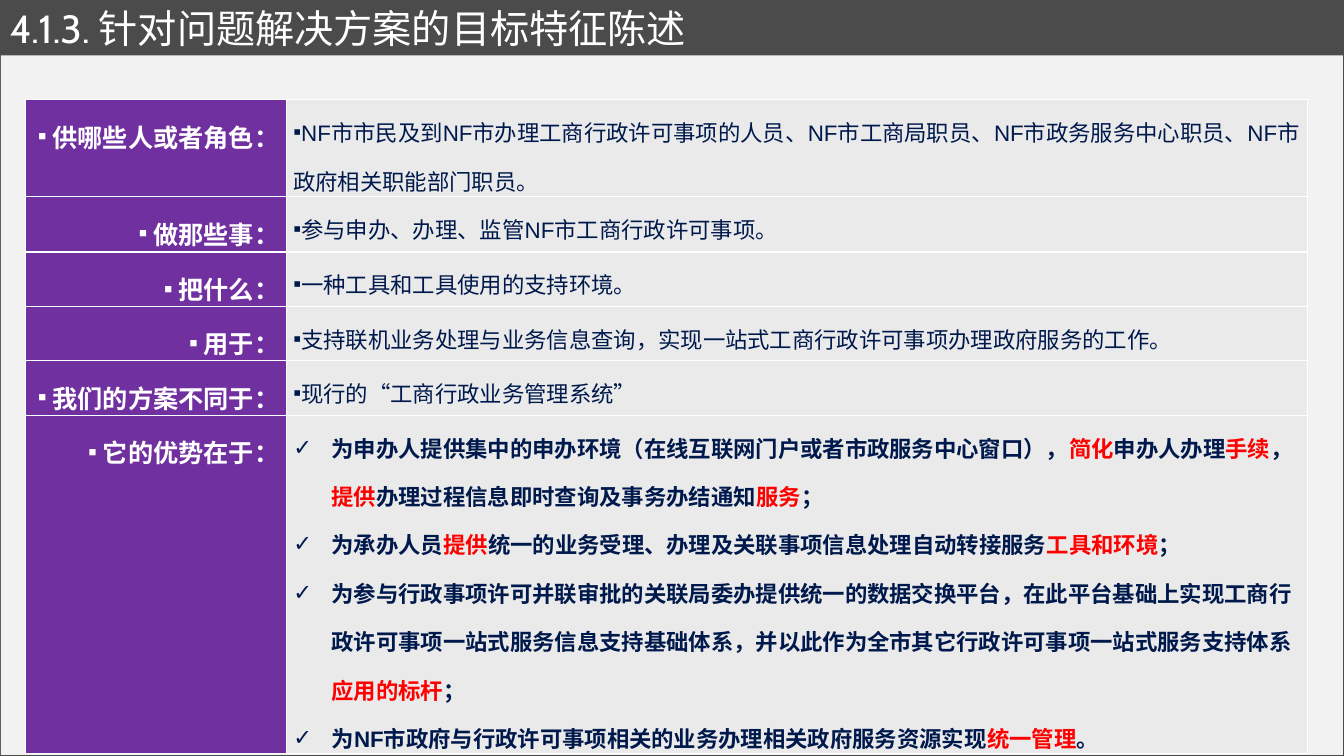
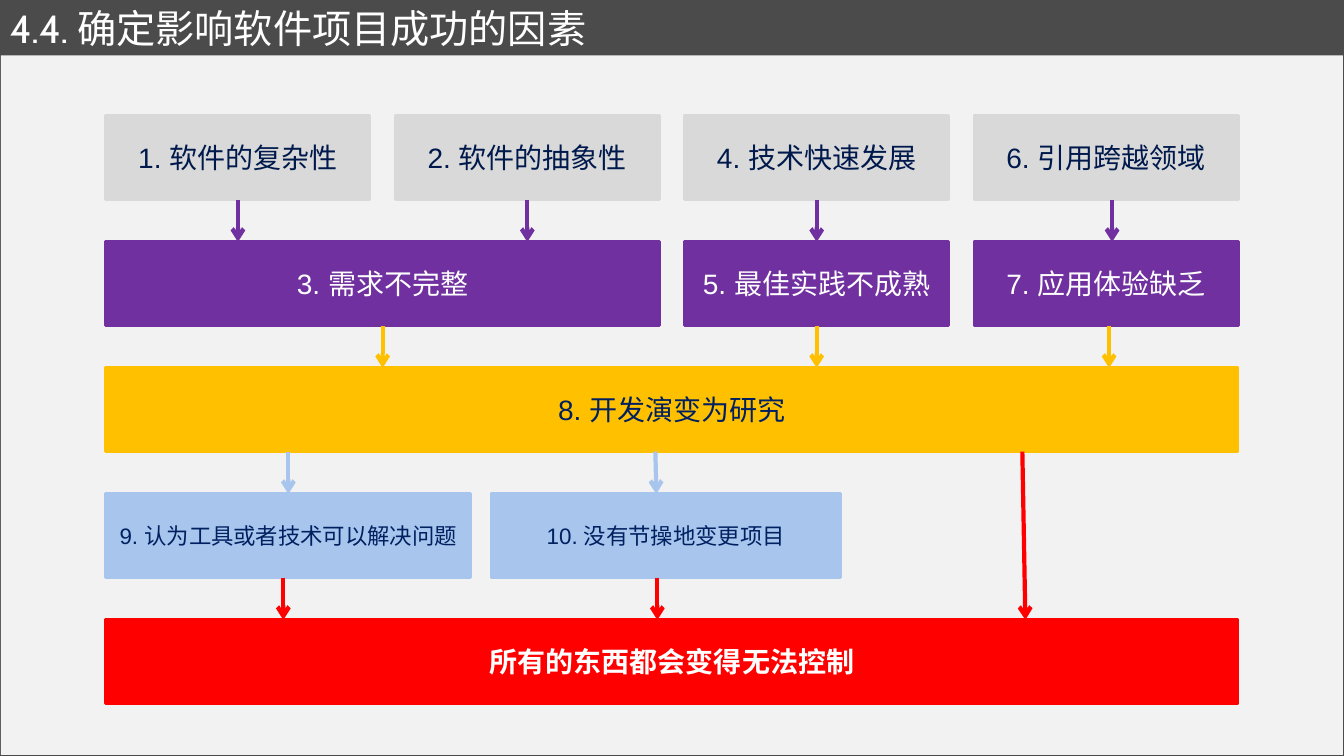
from pptx import Presentation
from pptx.dml.color import RGBColor
from pptx.enum.shapes import MSO_CONNECTOR, MSO_SHAPE
from pptx.enum.text import MSO_ANCHOR, PP_ALIGN
from pptx.oxml import parse_xml
from pptx.oxml.ns import nsdecls
from pptx.util import Inches, Pt

CHARCOAL = RGBColor(0x4B, 0x4B, 0x4B)
PAPER = RGBColor(0xF2, 0xF2, 0xF2)
WHITE = RGBColor(0xFF, 0xFF, 0xFF)
NAVY = RGBColor(0x00, 0x19, 0x4C)
DEEP_BLUE = RGBColor(0x00, 0x20, 0x60)
PURPLE = RGBColor(0x70, 0x30, 0xA0)
SILVER = RGBColor(0xEA, 0xEA, 0xEA)
GREY = RGBColor(0xD9, 0xD9, 0xD9)
AMBER = RGBColor(0xFF, 0xC0, 0x00)
SKY = RGBColor(0xA7, 0xC5, 0xED)
RED = RGBColor(0xFF, 0x00, 0x00)

TITLE_FONT = {"name": "Cabin", "size": Pt(28)}
LABEL_FONT = {"name": "Arial", "size": Pt(18), "bold": True}
ANSWER_FONT = {"name": "Arial", "size": Pt(16), "bold": False}
ADVANTAGE_FONT = {**ANSWER_FONT, "bold": True}
FACTOR_FONT = {"name": "Arial", "size": Pt(20)}
SMALL_FACTOR_FONT = {**FACTOR_FONT, "size": Pt(16)}
OUTCOME_FONT = {**FACTOR_FONT, "bold": True}
CELL_FORMAT = {
    "margin_left": Inches(0.07),
    "margin_right": Inches(0.07),
    "margin_top": 0,
    "margin_bottom": 0,
}
FACTOR_FRAME = {
    "word_wrap": True,
    "vertical_anchor": MSO_ANCHOR.MIDDLE,
    "margin_left": Inches(0.05),
    "margin_right": Inches(0.05),
}

LEFT, TOP = 1.05, 1.15
COLUMN_STEP, ROW_STEP = 2.87, 1.25
COLUMN_GAP, FACTOR_HEIGHT = 0.25, 0.83

COLUMN_WIDTHS = (2.59, 10.13)
ROW_HEIGHTS = (0.96, 0.55, 0.54, 0.54, 0.54, 3.36)
STATEMENTS = [
    ("供哪些人或者角色：",
     "NF市市民及到NF市办理工商行政许可事项的人员、NF市工商局职员、"
     "NF市政务服务中心职员、NF市政府相关职能部门职员。"),
    ("做那些事：", "参与申办、办理、监管NF市工商行政许可事项。"),
    ("把什么：", "一种工具和工具使用的支持环境。"),
    ("用于：", "支持联机业务处理与业务信息查询，实现一站式工商行政许可事项办理政府服务的工作。"),
    ("我们的方案不同于：", "现行的“工商行政业务管理系统”"),
]
ADVANTAGE_LABEL = "它的优势在于："
ADVANTAGES = [
    "为申办人提供集中的申办环境（在线互联网门户或者市政服务中心窗口），"
    "*简化*申办人办理*手续*，*提供*办理过程信息即时查询及事务办结通知*服务*；",
    "为承办人员*提供*统一的业务受理、办理及关联事项信息处理自动转接服务*工具和环境*；",
    "为参与行政事项许可并联审批的关联局委办提供统一的数据交换平台，"
    "在此平台基础上实现工商行政许可事项一站式服务信息支持基础体系，"
    "并以此作为全市其它行政许可事项一站式服务支持体系*应用的标杆*；",
    "为NF市政府与行政许可事项相关的业务办理相关政府服务资源实现*统一管理*。",
]

GRID_FACTORS = [
    ("1. 软件的复杂性", 0, 0, 1, GREY, NAVY, FACTOR_FONT),
    ("2. 软件的抽象性", 0, 1, 1, GREY, NAVY, FACTOR_FONT),
    ("4. 技术快速发展", 0, 2, 1, GREY, NAVY, FACTOR_FONT),
    ("6. 引用跨越领域", 0, 3, 1, GREY, NAVY, FACTOR_FONT),
    ("3. 需求不完整", 1, 0, 2, PURPLE, WHITE, FACTOR_FONT),
    ("5. 最佳实践不成熟", 1, 2, 1, PURPLE, WHITE, FACTOR_FONT),
    ("7. 应用体验缺乏", 1, 3, 1, PURPLE, WHITE, FACTOR_FONT),
    ("8. 开发演变为研究", 2, 0, 4, AMBER, DEEP_BLUE, FACTOR_FONT),
    ("所有的东西都会变得无法控制", 4, 0, 4, RED, WHITE, OUTCOME_FONT),
]
MISTAKES = [
    ("9. 认为工具或者技术可以解决问题", LEFT, 3.62),
    ("10. 没有节操地变更项目", 4.87, 3.47),
]
MISTAKE_ROW = 3
EFFECTS = [
    ("1", "3", PURPLE, None),
    ("2", "3", PURPLE, None),
    ("4", "5", PURPLE, None),
    ("6", "7", PURPLE, (11.03, 11.03)),
    ("3", "8", AMBER, None),
    ("5", "8", AMBER, None),
    ("7", "8", AMBER, (11, 11)),
    ("8", "9", SKY, None),
    ("8", "10", SKY, (6.5, 6.51)),
    ("9", "所有的东西都会变得无法控制", RED, (2.81, 2.81)),
    ("10", "所有的东西都会变得无法控制", RED, (6.52, 6.52)),
    ("8", "所有的东西都会变得无法控制", RED, (10.14, 10.17)),
]


def apply_format(target, values):
    for name, value in values.items():
        setattr(target, name, value)


def add_text(paragraph, text, color, font):
    run = paragraph.add_run()
    run.text = text
    apply_format(run.font, font)
    run.font.color.rgb = color


def add_rectangle(slide, left, top, width, height, color):
    rectangle = slide.shapes.add_shape(
        MSO_SHAPE.RECTANGLE, Inches(left), Inches(top), Inches(width), Inches(height))
    rectangle.shadow.inherit = False
    rectangle.fill.solid()
    rectangle.fill.fore_color.rgb = color
    rectangle.line.color.rgb = color
    rectangle.line.width = Pt(2)
    return rectangle


def add_titled_slide(deck, title):
    slide = deck.slides.add_slide(deck.slide_layouts[6])
    slide.background.fill.solid()
    slide.background.fill.fore_color.rgb = CHARCOAL
    panel = add_rectangle(slide, 0.01, 0.55, 13.31, 6.94, PAPER)
    panel.line.fill.background()
    heading = slide.shapes.add_textbox(0, Inches(0.01), deck.slide_width, Inches(0.53))
    frame = heading.text_frame
    apply_format(frame, {"word_wrap": True, "vertical_anchor": MSO_ANCHOR.MIDDLE})
    add_text(frame.paragraphs[0], title, WHITE, TITLE_FONT)
    return slide


def add_bullet(paragraph, mark, indent=0):
    properties = paragraph._p.get_or_add_pPr()
    properties.set("marL", str(Inches(indent)))
    properties.set("indent", str(-Inches(indent)))
    properties.append(parse_xml(f'<a:buFont {nsdecls("a")} typeface="Arial"/>'))
    properties.append(parse_xml(f'<a:buChar {nsdecls("a")} char="{mark}"/>'))


def format_cell(cell, color):
    apply_format(cell, CELL_FORMAT)
    properties = cell._tc.get_or_add_tcPr()
    for side in ("lnL", "lnR", "lnT", "lnB"):
        properties.append(parse_xml(
            f'<a:{side} {nsdecls("a")} w="{Pt(1)}"><a:solidFill>'
            f'<a:srgbClr val="{WHITE}"/></a:solidFill></a:{side}>'))
    cell.fill.solid()
    cell.fill.fore_color.rgb = color


def write_item(paragraph, text, mark, color, font, indent=0, align=PP_ALIGN.LEFT):
    apply_format(paragraph, {"line_spacing": 1.5, "alignment": align})
    add_bullet(paragraph, mark, indent)
    for position, part in enumerate(text.split("*")):
        add_text(paragraph, part, RED if position % 2 else color, font)


def add_statement_table(slide):
    table = slide.shapes.add_table(
        len(ROW_HEIGHTS), len(COLUMN_WIDTHS), Inches(0.25), Inches(0.99),
        Inches(sum(COLUMN_WIDTHS)), Inches(sum(ROW_HEIGHTS))).table
    apply_format(table, {"first_row": False, "horz_banding": False})
    for column, width in zip(table.columns, COLUMN_WIDTHS):
        column.width = Inches(width)
    for row, height in zip(table.rows, ROW_HEIGHTS):
        row.height = Inches(height)
        for cell, color in zip(row.cells, (PURPLE, SILVER)):
            format_cell(cell, color)

    labels = [label for label, _ in STATEMENTS] + [ADVANTAGE_LABEL]
    for index, label in enumerate(labels):
        write_item(table.cell(index, 0).text_frame.paragraphs[0], f" {label}", "▪",
                   WHITE, LABEL_FONT, align=PP_ALIGN.RIGHT)
    for index, (_, answer) in enumerate(STATEMENTS):
        write_item(table.cell(index, 1).text_frame.paragraphs[0], answer, "▪",
                   NAVY, ANSWER_FONT)
    frame = table.cell(len(STATEMENTS), 1).text_frame
    for index, advantage in enumerate(ADVANTAGES):
        paragraph = frame.add_paragraph() if index else frame.paragraphs[0]
        write_item(paragraph, advantage, "✓", NAVY, ADVANTAGE_FONT, indent=0.38)


def add_factor(slide, text, row, left, width, fill, color, font):
    factor = add_rectangle(slide, left, TOP + row * ROW_STEP, width, FACTOR_HEIGHT, fill)
    apply_format(factor.text_frame, FACTOR_FRAME)
    paragraph = factor.text_frame.paragraphs[0]
    paragraph.alignment = PP_ALIGN.CENTER
    add_text(paragraph, text, color, font)
    return factor


def middle(factor):
    return factor.left + factor.width // 2


def add_effect(slide, cause, result, color, span):
    if span is None:
        start = end = middle(min(cause, result, key=lambda factor: factor.width))
    else:
        start, end = map(Inches, span)
    arrow = slide.shapes.add_connector(
        MSO_CONNECTOR.STRAIGHT, start, cause.top + cause.height, end, result.top)
    if abs(middle(cause) - start) < Inches(0.01):
        arrow.begin_connect(cause, 2)
    if abs(middle(result) - end) < Inches(0.01):
        arrow.end_connect(result, 0)
    arrow.line.color.rgb = color
    arrow.line.width = Pt(3)
    arrow.line._get_or_add_ln().append(
        parse_xml(f'<a:tailEnd {nsdecls("a")} type="arrow"/>'))
    arrow._element.spPr.append(parse_xml(f'<a:effectLst {nsdecls("a")}/>'))


def add_factor_diagram(slide):
    factors = {}
    for text, row, column, span, fill, color, font in GRID_FACTORS:
        factors[text.split(".")[0]] = add_factor(
            slide, text, row, LEFT + column * COLUMN_STEP,
            span * COLUMN_STEP - COLUMN_GAP, fill, color, font)
    for text, left, width in MISTAKES:
        factors[text.split(".")[0]] = add_factor(
            slide, text, MISTAKE_ROW, left, width, SKY, DEEP_BLUE, SMALL_FACTOR_FONT)
    for cause, result, color, span in EFFECTS:
        add_effect(slide, factors[cause], factors[result], color, span)


def main():
    deck = Presentation()
    apply_format(deck, {"slide_width": Inches(13.33), "slide_height": Inches(7.5)})
    add_statement_table(add_titled_slide(deck, "4.1.3. 针对问题解决方案的目标特征陈述"))
    add_factor_diagram(add_titled_slide(deck, "4.4. 确定影响软件项目成功的因素"))
    deck.save("out.pptx")


if __name__ == "__main__":
    main()
